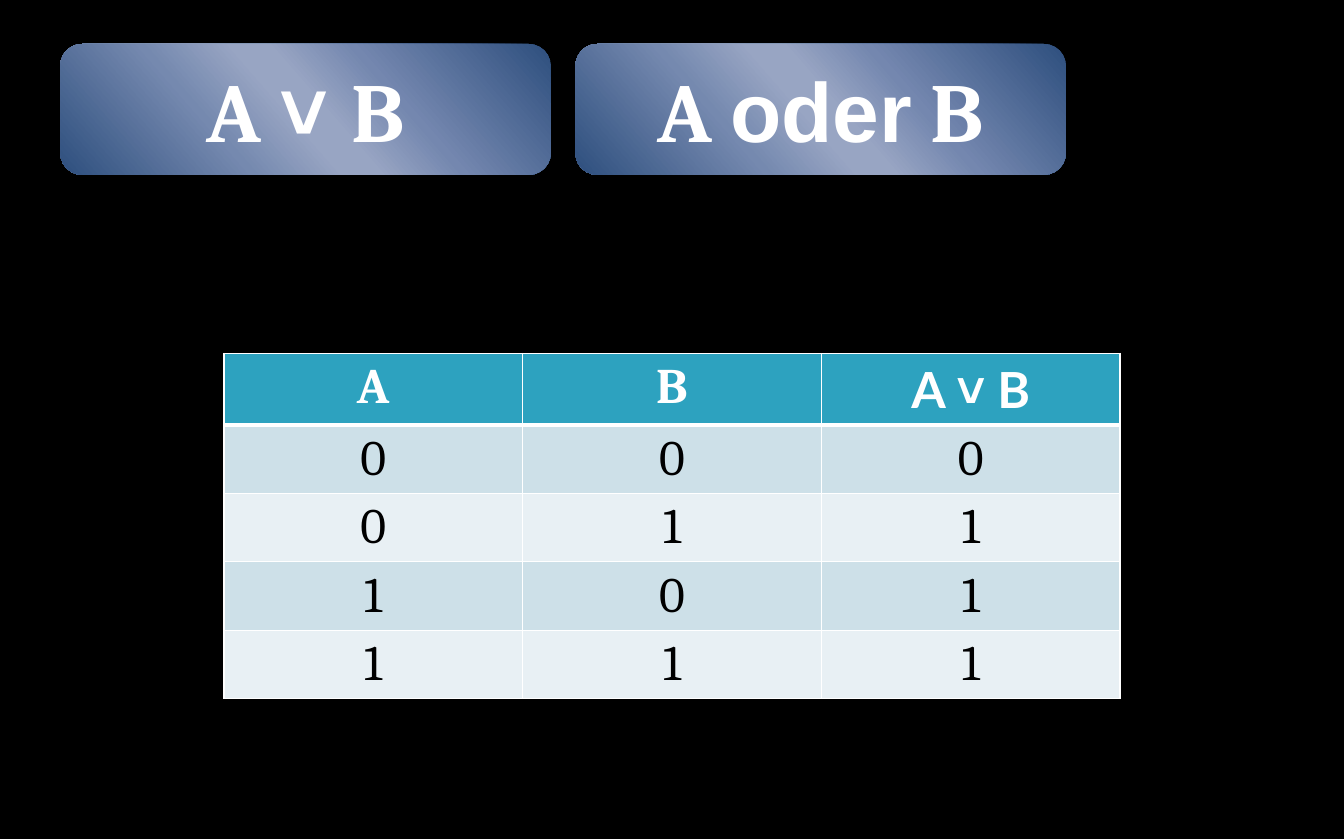
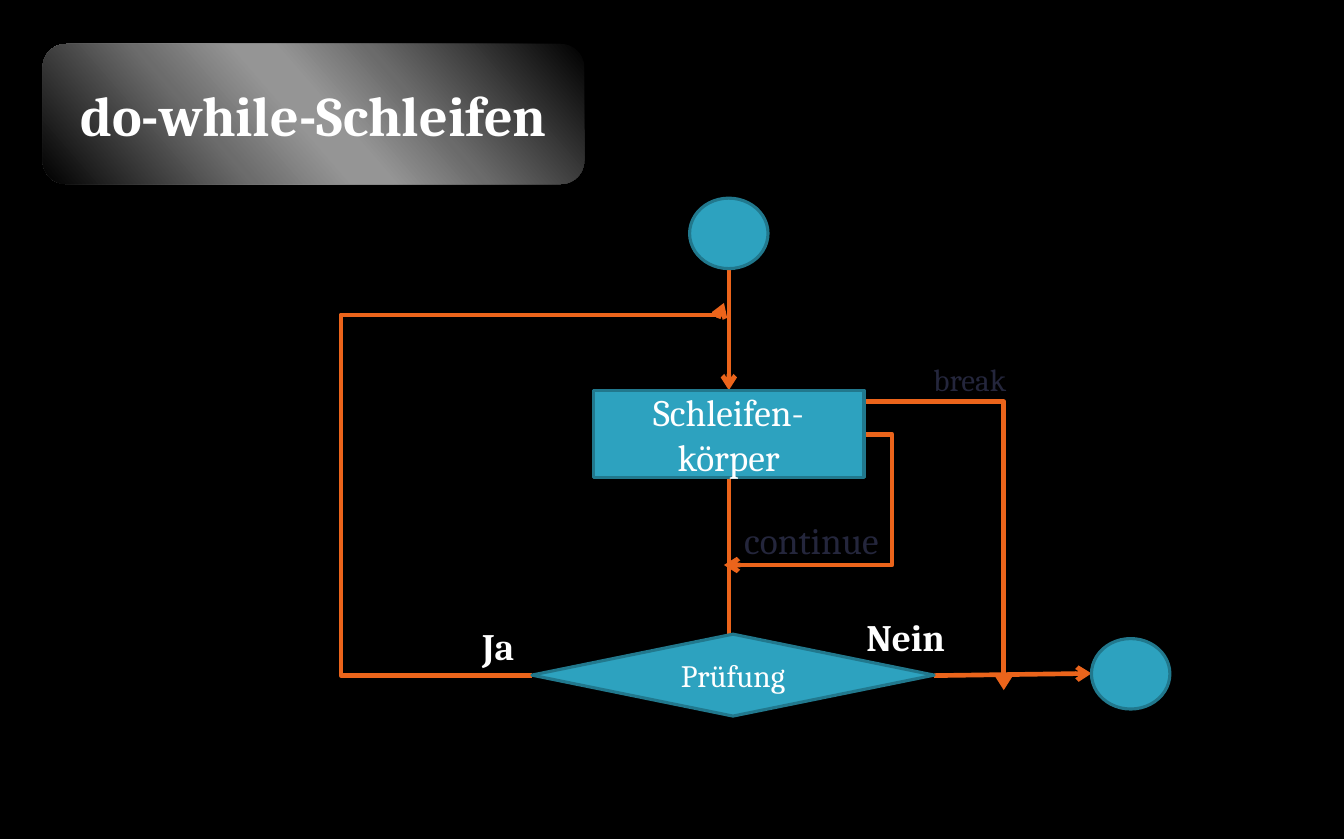
"""Build two slides: the truth table of the logical OR and the flow of a do-while loop."""
from itertools import cycle

from lxml.etree import SubElement
from pptx import Presentation
from pptx.dml.color import RGBColor
from pptx.enum.shapes import MSO_CONNECTOR as Link, MSO_SHAPE as Form
from pptx.enum.text import MSO_ANCHOR as Anchor, MSO_AUTO_SIZE as AutoSize, PP_ALIGN as Align
from pptx.oxml.ns import qn
from pptx.util import Cm, Pt

COLOURS = {
    "background": "000000", "light": "FFFFFF", "dark": "000000", "label": "24263C",
    "node": "2DA2BF", "outline": "21788D", "arrow": "EB641B",
    "band_odd": "CDE0E8", "band_even": "E8F0F4",
}
GRADIENTS = {
    "blue": ["2E4F7E", "7487AF", "98A5C3", "98A5C3", "7589AF", "2E4F7E"],
    "grey": ["000000", "6B6B6B", "959595", "959595", "6C6C6C", "000000"],
}
STOPS = [0, 33, 47, 53, 68, 100]
RGB = {name: RGBColor.from_string(value) for name, value in COLOURS.items()}
SERIF, SANS, HEADING = "Cambria", "Arial", "Lato"


def write(text_frame, pieces, size, colour="light", bold=False, align=Align.CENTER):
    text_frame.text = pieces[0][0]
    for text, _ in pieces[1:]:
        text_frame.paragraphs[-1].add_run().text = text
    runs = []
    for paragraph in text_frame.paragraphs:
        paragraph.alignment = align
        runs.extend(paragraph.runs)
    for run, (_, name) in zip(runs, cycle(pieces)):
        run.font.name, run.font.size, run.font.bold = name, Pt(size), bold
        run.font.color.rgb = RGB[colour]


def add_banner(slide, left, width, height, gradient, pieces, size):
    shape = slide.shapes.add_shape(Form.ROUNDED_RECTANGLE, Cm(left), Cm(1), Cm(width), Cm(height))
    shape.shadow.inherit = False
    shape.line.fill.background()
    shape.fill.gradient()
    shape.fill.gradient_angle = 221
    stop_list = shape.element.spPr.find(".//" + qn("a:gsLst"))
    stop_list.clear()
    for position, colour in zip(STOPS, GRADIENTS[gradient]):
        stop = SubElement(stop_list, qn("a:gs"), pos=str(position * 1000))
        SubElement(stop, qn("a:srgbClr"), val=colour)
    shape.text_frame.vertical_anchor = Anchor.MIDDLE
    write(shape.text_frame, pieces, size, bold=True)


presentation = Presentation()
presentation.slide_width, presentation.slide_height = Cm(30.5), Cm(19.05)
slides = []
for _ in range(2):
    slide = presentation.slides.add_slide(presentation.slide_layouts[6])
    slide.background.fill.solid()
    slide.background.fill.fore_color.rgb = RGB["background"]
    slides.append(slide)
table_slide, flow_slide = slides

banners = [
    [("A ", SERIF), ("˅ ", SANS), ("B", SERIF)],
    [("A ", SERIF), ("oder", SANS), (" B", SERIF)],
]
for index, pieces in enumerate(banners):
    add_banner(table_slide, 1.37 + 11.69 * index, 11.13, 2.97, "blue", pieces, 54)

header = [[("A", SERIF)], [("B", SERIF)], [("A ", HEADING), ("˅", SANS), (" B", HEADING)]]
body = [[[(str(value), SERIF)] for value in (a, b, a | b)] for a in (0, 1) for b in (0, 1)]
rows = [header] + body
table = table_slide.shapes.add_table(
    len(rows), len(header), Cm(5.08), Cm(8.03), Cm(20.34), Cm(7.5)).table
for row_index, row in enumerate(rows):
    is_header = row_index == 0
    band = "node" if is_header else ("band_even", "band_odd")[row_index % 2]
    for column_index, pieces in enumerate(row):
        cell = table.cell(row_index, column_index)
        write(cell.text_frame, pieces, 32, "light" if is_header else "dark", is_header)
        properties = cell._tc.get_or_add_tcPr()
        for side in ("lnL", "lnR", "lnT", "lnB"):
            thick = (is_header and side == "lnB") or (row_index == 1 and side == "lnT")
            border = SubElement(properties, qn("a:" + side), w=str(Pt(3 if thick else 1)))
            SubElement(SubElement(border, qn("a:solidFill")), qn("a:srgbClr"), val=COLOURS["light"])
        cell.fill.solid()
        cell.fill.fore_color.rgb = RGB[band]

add_banner(flow_slide, 0.97, 12.29, 3.18, "grey", [("do-while-Schleifen", SERIF)], 36)

arrows = [
    ("line", (16.54, 6.07, 16.54, 8.86), []),
    ("line", (16.54, 10.85, 16.54, 15.01), []),
    ("line", (21.2, 15.34, 24.77, 15.29), []),
    ("bentConnector2", (19.61, 9.12, 22.78, 15.67), []),
    ("bentConnector3", (19.61, 9.86, 16.43, 12.83), [-20000]),
    ("bentConnector4", (12.07, 15.34, 16.43, 6.88), [-99400, 96800]),
]
for preset, ends, adjustments in arrows:
    kind = Link.STRAIGHT if preset == "line" else Link.ELBOW
    connector = flow_slide.shapes.add_connector(kind, *[Cm(value) for value in ends])
    connector.line.color.rgb = RGB["arrow"]
    connector.line.width = Pt(3)
    properties = connector._element.spPr
    geometry = properties.find(qn("a:prstGeom"))
    geometry.set("prst", preset)
    guides = geometry.find(qn("a:avLst"))
    for number, value in enumerate(adjustments, 1):
        SubElement(guides, qn("a:gd"), name=f"adj{number}", fmla=f"val {value}")
    SubElement(properties.find(qn("a:ln")), qn("a:tailEnd"), type="arrow")
    SubElement(properties, qn("a:effectLst"))

nodes = [
    (Form.OVAL, (15.65, 4.5, 1.78, 1.6), "", 20),
    (Form.OVAL, (24.77, 14.5, 1.78, 1.6), "", 20),
    (Form.FLOWCHART_DECISION, (12.07, 14.4, 9.13, 1.86), "Prüfung", 20),
    (Form.RECTANGLE, (13.46, 8.86, 6.15, 1.98), "Schleifen-\nkörper", 24),
]
for form, box, text, size in nodes:
    shape = flow_slide.shapes.add_shape(form, *[Cm(value) for value in box])
    shape.shadow.inherit = False
    shape.fill.solid()
    shape.fill.fore_color.rgb = RGB["node"]
    shape.line.color.rgb = RGB["outline"]
    shape.line.width = Pt(2)
    shape.text_frame.vertical_anchor = Anchor.MIDDLE
    write(shape.text_frame, [(text, SERIF)], size)

labels = [
    ("Nein", (19.41, 13.82, 3.18, 1.27), 24, "light", True, Align.JUSTIFY),
    ("Ja", (10.69, 14.02, 1.98, 1.27), 24, "light", True, Align.JUSTIFY),
    ("continue", (16.23, 11.63, 4.37, 1.27), 24, "label", False, Align.CENTER),
    ("break", (20.42, 8.05, 3.18, 1.12), 20, "label", False, Align.CENTER),
]
for text, box, size, colour, bold, align in labels:
    text_frame = flow_slide.shapes.add_textbox(*[Cm(value) for value in box]).text_frame
    text_frame.word_wrap = True
    text_frame.auto_size = AutoSize.SHAPE_TO_FIT_TEXT
    write(text_frame, [(text, SERIF)], size, colour, bold, align)

presentation.save("out.pptx")
